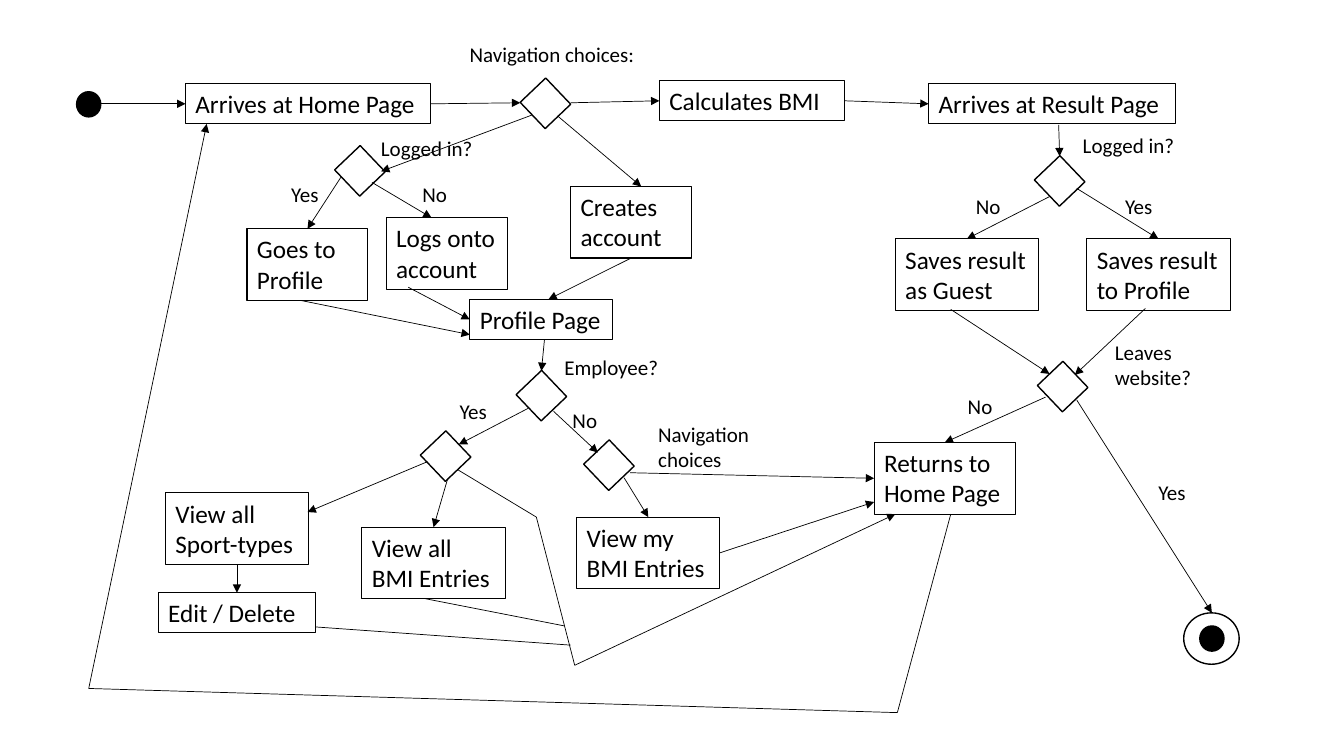
from pptx import Presentation
from pptx.dml.color import RGBColor
from pptx.enum.shapes import MSO_CONNECTOR, MSO_SHAPE
from pptx.enum.text import MSO_ANCHOR, MSO_AUTO_SIZE, PP_ALIGN
from pptx.oxml.ns import qn
from pptx.util import Pt
from lxml import etree

RECT, OVAL = MSO_SHAPE.RECTANGLE, MSO_SHAPE.OVAL
STRAIGHT = MSO_CONNECTOR.STRAIGHT
LEFT_ALIGN, TOP_ANCHOR = PP_ALIGN.LEFT, MSO_ANCHOR.TOP
GROW = MSO_AUTO_SIZE.SHAPE_TO_FIT_TEXT
TOP, LEFT, BOTTOM, RIGHT = range(4)
SCALE = 9144  # EMU per px, 100 px to the inch
COLOURS = {"ink": "000000", "paper": "FFFFFF"}


class Flowchart:
    font = "Calibri"
    box_size, label_size = 18, 15

    def __init__(self, slide):
        self.shapes = slide.shapes

    def px(self, *lengths):
        return [length * SCALE for length in lengths]

    def colour(self, name):
        return RGBColor.from_string(COLOURS[name])

    def outline(self, kind, x, y, w, h, width, fill=None):
        shape = self.shapes.add_shape(kind, *self.px(x, y, w, h))
        shape.shadow.inherit = False
        if fill:
            shape.fill.solid()
            shape.fill.fore_color.rgb = self.colour(fill)
        else:
            shape.fill.background()
        shape.line.color.rgb = self.colour("ink")
        shape.line.width = Pt(width)
        return shape

    def set_text(self, shape, text, size):
        frame = shape.text_frame
        frame.word_wrap = True
        frame.auto_size = GROW
        frame.vertical_anchor = TOP_ANCHOR
        frame.text = text
        paragraph = frame.paragraphs[0]
        paragraph.alignment = LEFT_ALIGN
        font = paragraph.runs[0].font
        font.name, font.size = self.font, Pt(size)
        font.color.rgb = self.colour("ink")

    def box(self, text, x, y, w, h=40):
        shape = self.outline(RECT, x, y, w, h, 0.75)
        self.set_text(shape, text, self.box_size)
        return shape

    def label(self, text, x, y, w=50, h=35):
        shape = self.shapes.add_textbox(*self.px(x, y, w, h))
        self.set_text(shape, text, self.label_size)

    def decision(self, x, y):
        self.outline(RECT, x, y, 36, 35, 1, "paper").rotation = 46.4

    def dot(self, x, y):
        self.outline(OVAL, x, y, 24, 25, 1, "ink")

    def line(self, start, end, arrow=True):
        """Each end is a point (x, y) or a box with one of its sides."""
        joined = [not isinstance(tip[0], int) for tip in (start, end)]
        points = [(0, 0) if is_box else tip
                  for tip, is_box in zip((start, end), joined)]
        line = self.shapes.add_connector(STRAIGHT, *self.px(*points[0], *points[1]))
        if joined[0]:
            line.begin_connect(*start)
        if joined[1]:
            line.end_connect(*end)
        line.line.color.rgb = self.colour("ink")
        line.line.width = Pt(0.5)
        properties = line._element.spPr
        if arrow:
            etree.SubElement(properties.find(qn("a:ln")), qn("a:tailEnd"), type="triangle")
        etree.SubElement(properties, qn("a:effectLst"))


def main():
    deck = Presentation()
    deck.slide_width, deck.slide_height = 1333 * SCALE, 750 * SCALE
    chart = Flowchart(deck.slides.add_slide(deck.slide_layouts[6]))

    # Start and end states
    chart.dot(76, 91)
    chart.dot(1190, 621)
    chart.outline(OVAL, 1174, 608, 55, 51, 1)

    # Activities
    home = chart.box("Arrives at Home Page", 184, 83, 243)
    calculates = chart.box("Calculates BMI", 654, 80, 184)
    result = chart.box("Arrives at Result Page", 921, 83, 245)
    chart.box("Logs onto account", 383, 216, 120, 71)
    creates = chart.box("Creates account", 566, 185, 120, 71)
    goes = chart.box("Goes to Profile", 245, 227, 120, 71)
    profile = chart.box("Profile Page", 466, 297, 142)
    guest_result = chart.box("Saves result as Guest", 888, 237, 142, 71)
    profile_result = chart.box("Saves result to Profile", 1078, 237, 142, 71)
    my_entries = chart.box("View my BMI Entries", 572, 513, 142, 71)
    all_entries = chart.box("View all BMI Entries", 359, 523, 142, 71)
    sport_types = chart.box("View all Sport-types", 164, 489, 142, 71)
    edit = chart.box("Edit / Delete", 157, 588, 156)
    returns = chart.box("Returns to Home Page", 867, 439, 140, 71)

    # Decisions
    for x, y in [(523, 85), (339, 152), (519, 375), (424, 435),
                 (586, 444), (1033, 162), (1036, 366)]:
        chart.decision(x, y)

    # Arrows
    for start, end in [
        # Home page and its choices
        ((100, 103), (home, LEFT)),
        ((home, RIGHT), (516, 102)),
        ((528, 114), (378, 170)),
        ((553, 115), (636, 185)),
        ((566, 102), (calculates, LEFT)),
        ((calculates, RIGHT), (result, LEFT)),
        # Ways to the profile page
        ((369, 181), (428, 216)),
        ((338, 176), (goes, TOP)),
        ((405, 285), (profile, LEFT)),
        ((298, 298), (466, 332)),
        ((creates, BOTTOM), (544, 297)),
        # Profile page and its views
        ((540, 337), (537, 368)),
        ((549, 408), (593, 449)),
        ((524, 405), (455, 441)),
        ((619, 474), (my_entries, TOP)),
        ((625, 469), (returns, LEFT)),
        ((my_entries, RIGHT), (867, 498)),
        ((424, 458), (305, 508)),
        ((444, 475), (all_entries, TOP)),
        ((sport_types, BOTTOM), (edit, TOP)),
        # Result page and leaving
        ((1050, 124), (1051, 155)),
        ((1041, 195), (guest_result, TOP)),
        ((1068, 187), (profile_result, TOP)),
        ((943, 307), (1041, 371)),
        ((1136, 306), (1066, 372)),
        ((1037, 394), (returns, TOP)),
        ((1068, 397), (1202, 608)),
    ]:
        chart.line(start, end)

    # Bent routes with an arrowhead on the last stretch
    for route in [
        [(454, 466), (532, 513), (570, 660), (888, 510)],
        [(943, 510), (890, 707), (88, 683), (205, 123)],
    ]:
        for start, end in zip(route, route[1:]):
            chart.line(start, end, arrow=end == route[-1])

    # Views that flow into the bent route
    chart.line((422, 594), (560, 621), arrow=False)
    chart.line((313, 622), (566, 640), arrow=False)

    # Questions
    chart.label("Navigation choices:", 456, 36, 187)
    chart.label("Navigation choices", 643, 413, 114, 61)
    chart.label("Employee?", 550, 347, 120)
    chart.label("Leaves website?", 1096, 332, 120, 61)
    for x, y in [(368, 129), (1064, 127)]:
        chart.label("Logged in?", x, y, 120)

    # Answers
    answers = {
        "Yes": [(279, 175), (446, 390), (1106, 187), (1139, 471)],
        "No": [(409, 175), (558, 399), (958, 187), (950, 385)],
    }
    for answer, places in answers.items():
        for x, y in places:
            chart.label(answer, x, y)

    deck.save("out.pptx")


if __name__ == "__main__":
    main()
